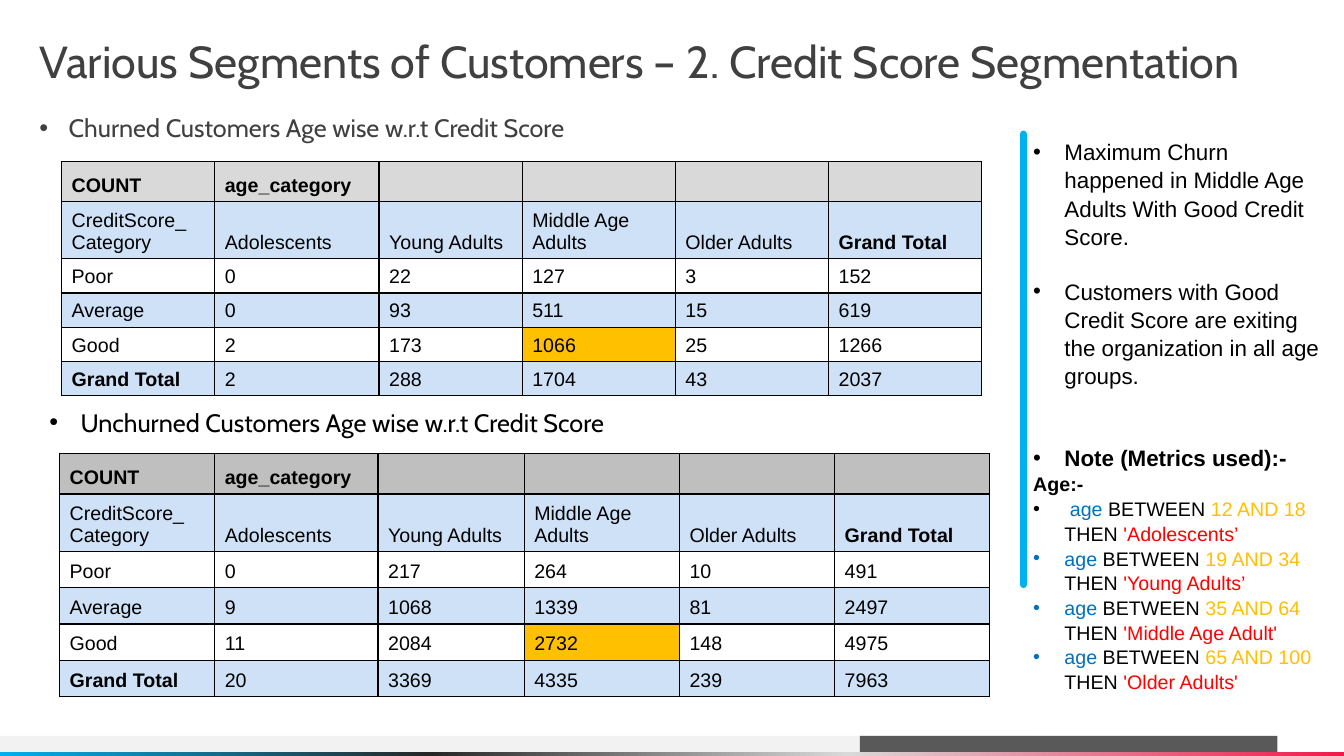
from pptx import Presentation
from pptx.dml.color import RGBColor
from pptx.enum.shapes import MSO_CONNECTOR, MSO_SHAPE
from pptx.enum.text import MSO_ANCHOR
from pptx.oxml import parse_xml
from pptx.oxml.ns import nsdecls, qn
from pptx.util import Inches, Pt
from lxml.etree import SubElement

WIDE, HIGH = 13.33, 7.5
BLACK, DARK, SKY = "000000", "404040", "00B0F0"
BLUE, GOLD, RED = "0070C0", "FFC000", "FF0000"
BAND = "0B6CD9"

AGES = ["Adolescents", "Young Adults", "Middle Age Adults", "Older Adults"]
HEAD = [["COUNT", "age_category", "", "", "", ""],
        ["CreditScore_ Category", *AGES, "Grand Total"]]
CHURN = [["Poor", 0, 22, 127, 3, 152],
         ["Average", 0, 93, 511, 15, 619],
         ["Good", 2, 173, 1066, 25, 1266],
         ["Grand Total", 2, 288, 1704, 43, 2037]]
STAY = [["Poor", 0, 217, 264, 10, 491],
        ["Average", 9, 1068, 1339, 81, 2497],
        ["Good", 11, 2084, 2732, 148, 4975],
        ["Grand Total", 20, 3369, 4335, 239, 7963]]
RULES = [("12 AND 18 ", "'Adolescents’"), ("19 AND 34 ", "'Young Adults’"),
         ("35 AND 64 ", "'Middle Age Adult'"), ("65 AND 100 ", "'Older Adults'")]


# Lengths are percentages of the slide's width and height
def across(share):
    return Inches(WIDE * share / 100)


def down(share):
    return Inches(HIGH * share / 100)


def place(left, top, width, height):
    return across(left), down(top), across(width), down(height)


def color(code):
    return RGBColor.from_string(code)


def write(frame, text, size=14, font="Arial", ink=BLACK, bold=False,
          indent=0, lines=None, before=0):
    """Add one paragraph; text is a string or a list of (words, colour)."""
    para = frame.paragraphs[0]
    if para.runs:
        para = frame.add_paragraph()
    para.space_before = Pt(before)
    if lines:
        para.line_spacing = lines
    if indent:
        props = para._p.get_or_add_pPr()
        props.set("marL", str(Inches(indent)))
        props.set("indent", str(-Inches(indent)))
        SubElement(props, qn("a:buFont")).set("typeface", "Arial")
        SubElement(props, qn("a:buChar")).set("char", "•")
    for words, tint in [(text, ink)] if isinstance(text, str) else text:
        run = para.add_run()
        run.text = words
        run.font.size = Pt(size)
        run.font.name = font
        run.font.bold = bold
        run.font.color.rgb = color(tint)


def frame(slide, box, inset=True):
    area = slide.shapes.add_textbox(*place(*box)).text_frame
    area.word_wrap = True
    if not inset:
        area.margin_left = area.margin_right = 0
        area.margin_top = area.margin_bottom = 0
    return area


def bar(slide, box, fill):
    shape = slide.shapes.add_shape(MSO_SHAPE.RECTANGLE, *place(*box))
    shape.shadow.inherit = False
    shape.line.fill.background()
    shape.fill.solid()
    shape.fill.fore_color.rgb = color(fill)
    return shape


def blend(shape, stops):
    """Swap a shape's plain fill for a left-to-right gradient."""
    marks = "".join(f'<a:gs pos="{spot * 1000}"><a:srgbClr val="{code}"/></a:gs>'
                    for spot, code in stops)
    grad = parse_xml(f'<a:gradFill {nsdecls("a")}><a:gsLst>{marks}</a:gsLst>'
                     '<a:lin ang="0" scaled="0"/></a:gradFill>')
    props = shape._element.spPr
    props.replace(props.find(qn("a:solidFill")), grad)


def rule(slide, start, end, ink, width, cap="flat"):
    link = slide.shapes.add_connector(
        MSO_CONNECTOR.STRAIGHT, across(start[0]), down(start[1]),
        across(end[0]), down(end[1]))
    link.line.color.rgb = color(ink)
    link.line.width = Pt(width)
    link.line._get_or_add_ln().set("cap", cap)
    SubElement(link._element.spPr, qn("a:effectLst"))


def paint(cell, fill, alpha=None):
    """Give a cell thin black borders and its fill."""
    props = cell._tc.get_or_add_tcPr()
    for side in "LRTB":
        props.append(parse_xml(
            f'<a:ln{side} {nsdecls("a")} w="12700"><a:solidFill>'
            f'<a:srgbClr val="{BLACK}"/></a:solidFill></a:ln{side}>'))
    if not fill:
        cell.fill.background()
        return
    cell.fill.solid()
    cell.fill.fore_color.rgb = color(fill)
    if alpha:
        tint = props.find(qn("a:solidFill")).find(qn("a:srgbClr"))
        SubElement(tint, qn("a:alpha")).set("val", str(alpha * 1000))


def grid(slide, left, top, cols, rows, body, shade):
    data = HEAD + body
    table = slide.shapes.add_table(
        len(rows), len(cols), *place(left, top, sum(cols), sum(rows))).table
    table.first_row = table.horz_banding = False
    for col, width in zip(table.columns, cols):
        col.width = across(width)
    for row, height in zip(table.rows, rows):
        row.height = down(height)
    for r, line in enumerate(data):
        for c, value in enumerate(line):
            cell = table.cell(r, c)
            cell.vertical_anchor = MSO_ANCHOR.BOTTOM
            if r == 0:
                paint(cell, shade)
            elif r % 2:
                paint(cell, BAND, alpha=20)
            else:
                # The largest group stands out in the "Good" row
                paint(cell, GOLD if (r, c) == (4, 3) else None)
            if value != "":
                write(cell.text_frame, str(value),
                      bold=r == 0 or value == "Grand Total")


def notes(slide):
    side = frame(slide, (76.14, 17.47, 23.25, 69.07))
    point = dict(size=16, indent=0.31, lines=1.05)
    write(side, "Maximum Churn happened in Middle Age Adults With Good "
          "Credit Score.", **point)
    write(side, "Customers with Good Credit Score are exiting the "
          "organization in all age groups.", before=19.2, **point)
    write(side, "Note (Metrics used):-", bold=True, before=38.4, **point)
    write(side, "Age:-", bold=True, lines=1.05)
    for i, (span, group) in enumerate(RULES):
        lead = [] if i else [(" ", BLACK)]
        write(side, lead + [("age", BLUE), (" BETWEEN ", BLACK), (span, GOLD),
                            ("THEN ", BLACK), (group, RED)],
              indent=0.31, lines=1.05)


def main():
    deck = Presentation()
    deck.slide_width, deck.slide_height = Inches(WIDE), Inches(HIGH)
    slide = deck.slides.add_slide(deck.slide_layouts[6])

    # Footer bars
    bar(slide, (-0.08, 97.33, 77.2, 2.13), "F2F2F2")
    bar(slide, (63.99, 97.33, 31.06, 2.13), "595959")
    strip = bar(slide, (-0.08, 99.47, 100.08, 0.53), SKY)
    blend(strip, [(0, SKY), (32, "262626"), (63, "D9D9D9"), (100, "F2194A")])
    rule(slide, (82.52, 98.27), (94.82, 98.27), "595959", 10.25)

    # Title and table headings
    write(frame(slide, (2.93, 5.2, 94.75, 7.87), inset=False),
          "Various Segments of Customers – 2. Credit Score Segmentation",
          size=32, font="Cabin", ink=DARK, lines=0.9)
    write(frame(slide, (2.93, 15.33, 57.4, 5), inset=False),
          "Churned Customers Age wise w.r.t Credit Score",
          size=18, font="Cabin", ink=DARK, indent=0.29, lines=0.9)
    write(frame(slide, (2.93, 53.2, 51.76, 6.5)),
          "Unchurned Customers Age wise w.r.t Credit Score",
          size=18, font="Cabin", indent=0.31)

    # Tables
    grid(slide, 4.58, 21.33, [11.4, 12.23, 10.65] + [11.4] * 3,
         [5.2, 7.47] + [4.53] * 4, CHURN, "D9D9D9")
    grid(slide, 4.43, 60, [11.55, 12.15, 10.88] + [11.55] * 3,
         [5.2, 7.6] + [4.8] * 4, STAY, "BFBFBF")

    # Findings beside the tables
    rule(slide, (76.14, 17.73), (76.14, 77.33), SKY, 5, cap="rnd")
    notes(slide)
    deck.save("out.pptx")


if __name__ == "__main__":
    main()
